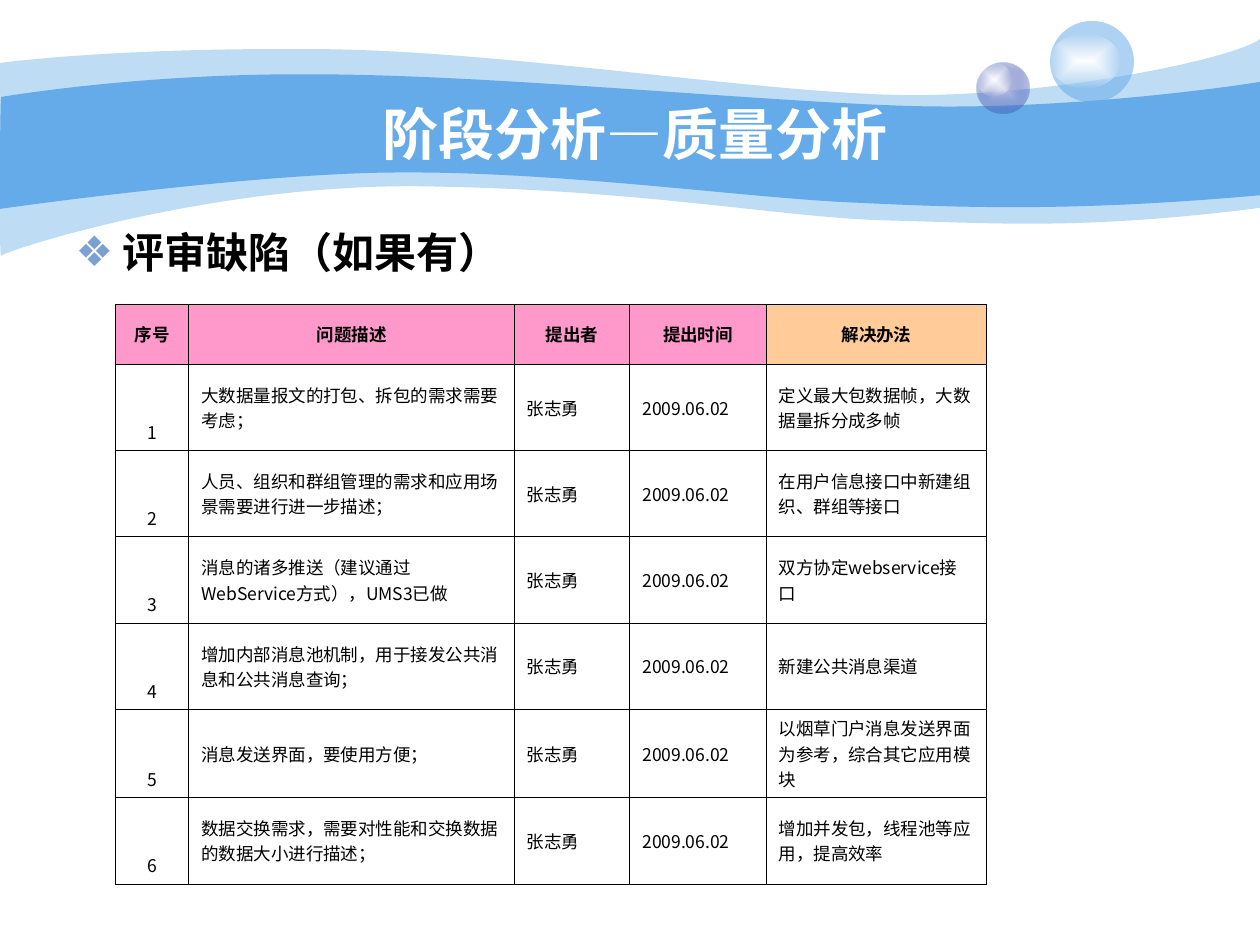
from dataclasses import dataclass

from lxml.etree import SubElement
from pptx import Presentation
from pptx.dml.color import RGBColor
from pptx.enum.shapes import MSO_SHAPE as Shape
from pptx.enum.text import MSO_ANCHOR as Anchor, MSO_AUTO_SIZE as AutoSize, PP_ALIGN as Align
from pptx.oxml.ns import qn
from pptx.util import Pt

# Content
TITLE = "阶段分析—质量分析"
HEADING = "评审缺陷（如果有）"
COLUMNS = [("序号", 42), ("问题描述", 186), ("提出者", 66), ("提出时间", 78), ("解决办法", 126)]
REVIEWER, REVIEW_DATE = "张志勇", "2009.06.02"
DEFECTS = [
    ("大数据量报文的打包、拆包的需求需要考虑；", "定义最大包数据帧，大数据量拆分成多帧"),
    ("人员、组织和群组管理的需求和应用场景需要进行进一步描述；", "在用户信息接口中新建组织、群组等接口"),
    ("消息的诸多推送（建议通过WebService方式），UMS3已做", "双方协定webservice接口"),
    ("增加内部消息池机制，用于接发公共消息和公共消息查询；", "新建公共消息渠道"),
    ("消息发送界面，要使用方便；", "以烟草门户消息发送界面为参考，综合其它应用模块"),
    ("数据交换需求，需要对性能和交换数据的数据大小进行描述；", "增加并发包，线程池等应用，提高效率"),
]


@dataclass(frozen=True)
class Theme:
    font: str = "Arial"
    table_font: str = "Noto Sans CJK SC"
    title_size: int = 32
    heading_size: int = 24
    table_size: int = 10
    white: str = "FFFFFF"
    black: str = "000000"
    blue: str = "65AAE9"
    bullet: str = "7DA0D3"
    pink: str = "FF99CC"
    orange: str = "FFCC99"


THEME = Theme()

# Banner waves: opacity, start, upper curves, right corner, lower curves (points);
# each curve is two control points and an end point
WAVES = [
    (41, (0, 36),
     [(17.3, 33.8), (77, 27.4), (177.8, 28.1), (277.9, 28.1), (414, 50.4), (503.3, 54),
      (591.8, 57.6), (705.6, 33.8), (720, 22.3)],
     (720, 118.8),
     [(617.8, 131.8), (566.6, 127.4), (507.6, 126), (447.8, 124.6), (370.8, 108.7), (247, 106.6),
      (123.8, 103.7), (2.9, 143.3), (0.7, 146.2), (-0.7, 149.8), (0, 54), (0, 36)]),
    (100, (0.7, 55.4),
     [(1.4, 55.4), (79.2, 41.8), (178.6, 42.5), (277.9, 42.5), (428.4, 57.6), (517, 60.5),
      (605.5, 63.4), (702.7, 49.7), (720, 46.8)],
     (720, 111.6),
     [(614.2, 121), (550.8, 118.8), (491, 115.9), (431.3, 113.8), (321.8, 97.9), (228.2, 98.6),
      (146.2, 98.6), (-1.4, 119.5), (-0.7, 119.5), (0, 119.5), (0, 55.4), (0.7, 55.4)]),
]

# Bubbles: left, top, width, height, (colour, opacity) from centre to edge
SHINE = [("FFFFFF", 100), ("FEFEFE", 0)]
BUBBLES = [
    (558, 35.6, 30.4, 29.2, [("C6CCE8", 100), ("233DA9", 31)]),
    (558, 35.6, 20, 19.4, SHINE),
    (600, 12, 48, 46.6, [(THEME.blue, 53)]),
    (600, 19.4, 40.3, 31, SHINE),
]


def add_color(parent, color, opacity=100):
    node = SubElement(parent, qn("a:srgbClr"), val=color)
    if opacity < 100:
        SubElement(node, qn("a:alpha"), val=str(opacity * 1000))


def paint(shape, stops):
    """Fill with one colour, or with a gradient running out from the centre."""
    shape.shadow.inherit = False
    shape.line.fill.background()
    shape.fill.solid()
    solid = shape._element.spPr.find(qn("a:solidFill"))
    if len(stops) == 1:
        add_color(solid, *stops[0])
        return
    gradient = solid.makeelement(qn("a:gradFill"), {"rotWithShape": "1"})
    solid.getparent().replace(solid, gradient)
    stop_list = SubElement(gradient, qn("a:gsLst"))
    for position, stop in zip(("0", "100000"), stops):
        add_color(SubElement(stop_list, qn("a:gs"), pos=position), *stop)
    center = SubElement(gradient, qn("a:path"), path="rect")
    SubElement(center, qn("a:fillToRect"), l="50000", t="50000", r="50000", b="50000")


def bend(segments):
    """Merge each three straight segments into one cubic curve."""
    for first, second, third in zip(segments[::3], segments[1::3], segments[2::3]):
        curve = first.makeelement(qn("a:cubicBezTo"), {})
        first.addprevious(curve)
        for segment in (first, second, third):
            curve.append(segment[0])
            segment.getparent().remove(segment)


def add_wave(slide, opacity, start, upper, corner, lower):
    units = 100  # drawing units per point
    builder = slide.shapes.build_freeform(start[0] * units, start[1] * units, scale=Pt(1) / units)
    builder.add_line_segments([(x * units, y * units) for x, y in upper + [corner] + lower])
    wave = builder.convert_to_shape()
    outline = next(wave._element.iter(qn("a:path")))
    segments = outline.findall(qn("a:lnTo"))
    bend(segments[:len(upper)])
    bend(segments[len(upper) + 1:])
    SubElement(outline, qn("a:close"))
    paint(wave, [(THEME.blue, opacity)])


def write(paragraph, text, size, color, bold, font=THEME.font):
    run = paragraph.add_run()
    run.text = text
    run.font.name, run.font.size, run.font.bold = font, Pt(size), bold
    run.font.color.rgb = RGBColor.from_string(color)
    return run


def place(holder, left, top, width, height, anchor):
    holder.left, holder.top, holder.width, holder.height = map(Pt, (left, top, width, height))
    frame = holder.text_frame
    frame.word_wrap, frame.auto_size, frame.vertical_anchor = True, AutoSize.NONE, anchor
    return frame.paragraphs[0]


def fill_cell(cell, text, align, anchor, bold=False, fill=None):
    cell.vertical_anchor = anchor
    paragraph = cell.text_frame.paragraphs[0]
    paragraph.alignment = align
    run = write(paragraph, text, THEME.table_size, THEME.black, bold, THEME.table_font)
    SubElement(run.font._element, qn("a:ea"), typeface=THEME.table_font)
    properties = cell._tc.get_or_add_tcPr()
    for side in ("a:lnL", "a:lnR", "a:lnT", "a:lnB"):
        border = SubElement(properties, qn(side), w=str(Pt(0.45)))
        add_color(SubElement(border, qn("a:solidFill")), THEME.black)
    if fill:
        cell.fill.solid()
        cell.fill.fore_color.rgb = RGBColor.from_string(fill)
    else:
        cell.fill.background()


def add_defect_table(slide, left=65.9, top=174, header_height=34.2, row_height=49.3):
    heights = [header_height] + [row_height] * len(DEFECTS)
    widths = [width for _, width in COLUMNS]
    table = slide.shapes.add_table(len(heights), len(widths), Pt(left), Pt(top),
                                   Pt(sum(widths)), Pt(sum(heights))).table
    table.first_row = table.horz_banding = False
    for column, width in zip(table.columns, widths):
        column.width = Pt(width)
    for row, height in zip(table.rows, heights):
        row.height = Pt(height)
    for index, (label, _) in enumerate(COLUMNS):
        fill = THEME.orange if index == len(COLUMNS) - 1 else THEME.pink
        fill_cell(table.cell(0, index), label, Align.CENTER, Anchor.MIDDLE, True, fill)
    for number, (problem, solution) in enumerate(DEFECTS, 1):
        fill_cell(table.cell(number, 0), str(number), Align.CENTER, Anchor.BOTTOM)
        for index, text in enumerate((problem, REVIEWER, REVIEW_DATE, solution), 1):
            fill_cell(table.cell(number, index), text, Align.LEFT, Anchor.MIDDLE)


def main():
    deck = Presentation()
    deck.slide_width, deck.slide_height = Pt(720), Pt(540)
    slide = deck.slides.add_slide(deck.slide_layouts[1])
    title, body = slide.shapes.title, slide.placeholders[1]

    # Banner, kept behind the text
    for wave in WAVES:
        add_wave(slide, *wave)
    for left, top, width, height, stops in BUBBLES:
        paint(slide.shapes.add_shape(Shape.OVAL, Pt(left), Pt(top), Pt(width), Pt(height)), stops)
    for holder in (title, body):
        slide.shapes._spTree.append(holder._element)

    # Title
    paragraph = place(title, 72, 53.6, 582, 45, Anchor.MIDDLE)
    paragraph.alignment = Align.CENTER
    write(paragraph, TITLE, THEME.title_size, THEME.white, True)

    # Bulleted heading
    paragraph = place(body, 36, 126, 504, 354, Anchor.TOP)
    properties = paragraph._p.get_or_add_pPr()
    properties.set("marL", str(Pt(27)))
    properties.set("indent", str(-Pt(27)))
    add_color(SubElement(properties, qn("a:buClr")), THEME.bullet)
    SubElement(properties, qn("a:buChar"), char="❖")
    paragraph.space_before = Pt(0)
    write(paragraph, HEADING, THEME.heading_size, THEME.black, True)

    # Review defects
    add_defect_table(slide)
    deck.save("out.pptx")


if __name__ == "__main__":
    main()
